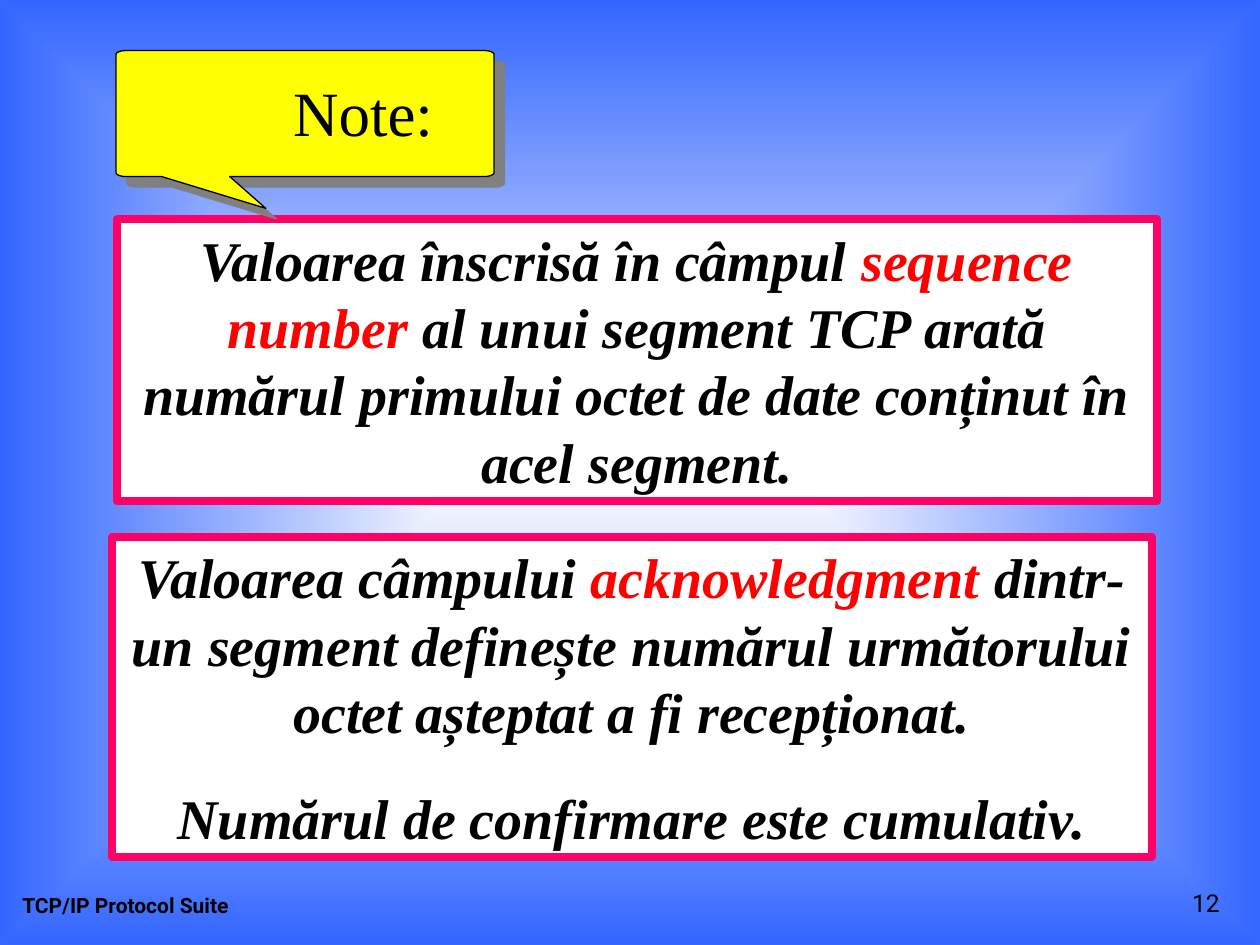
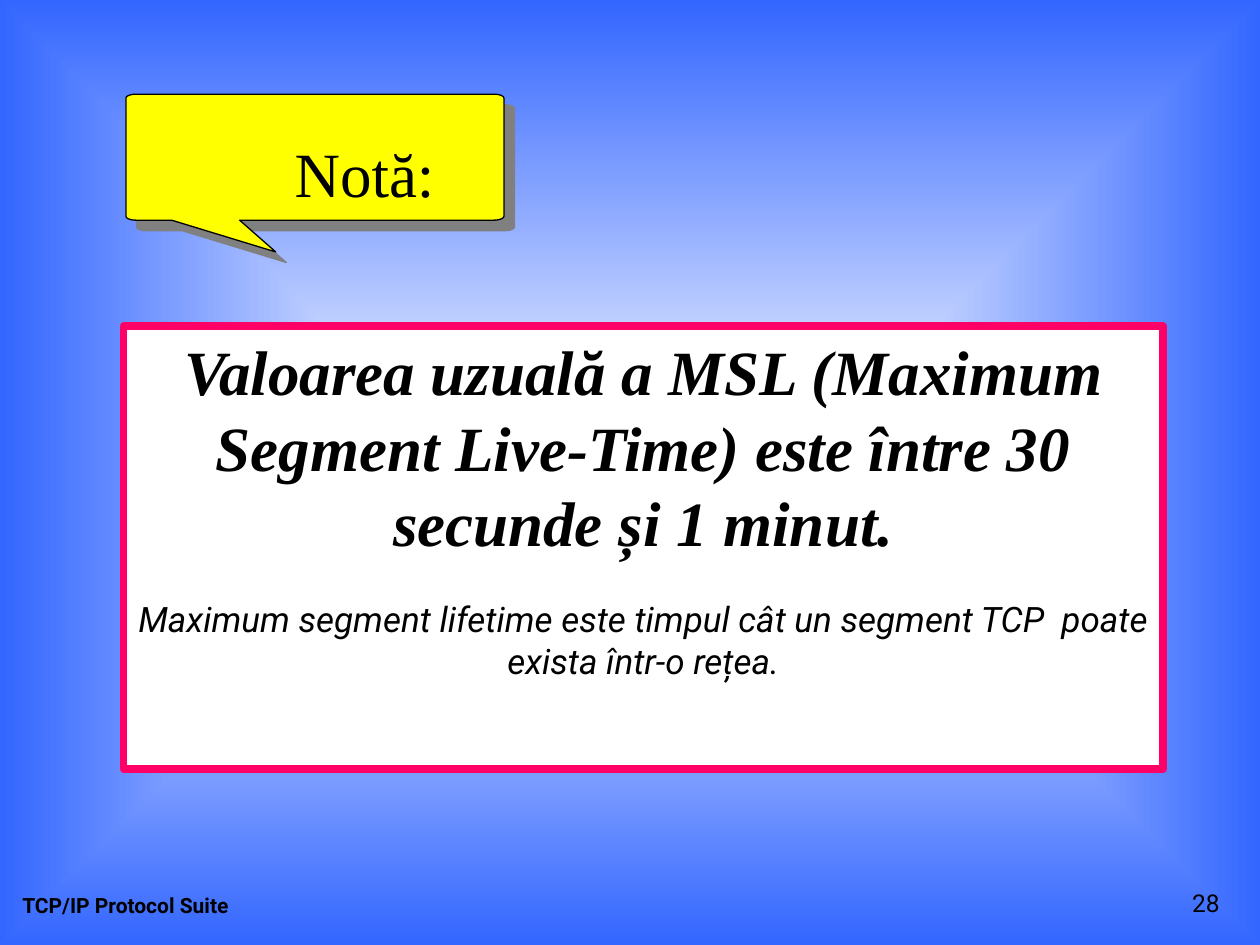
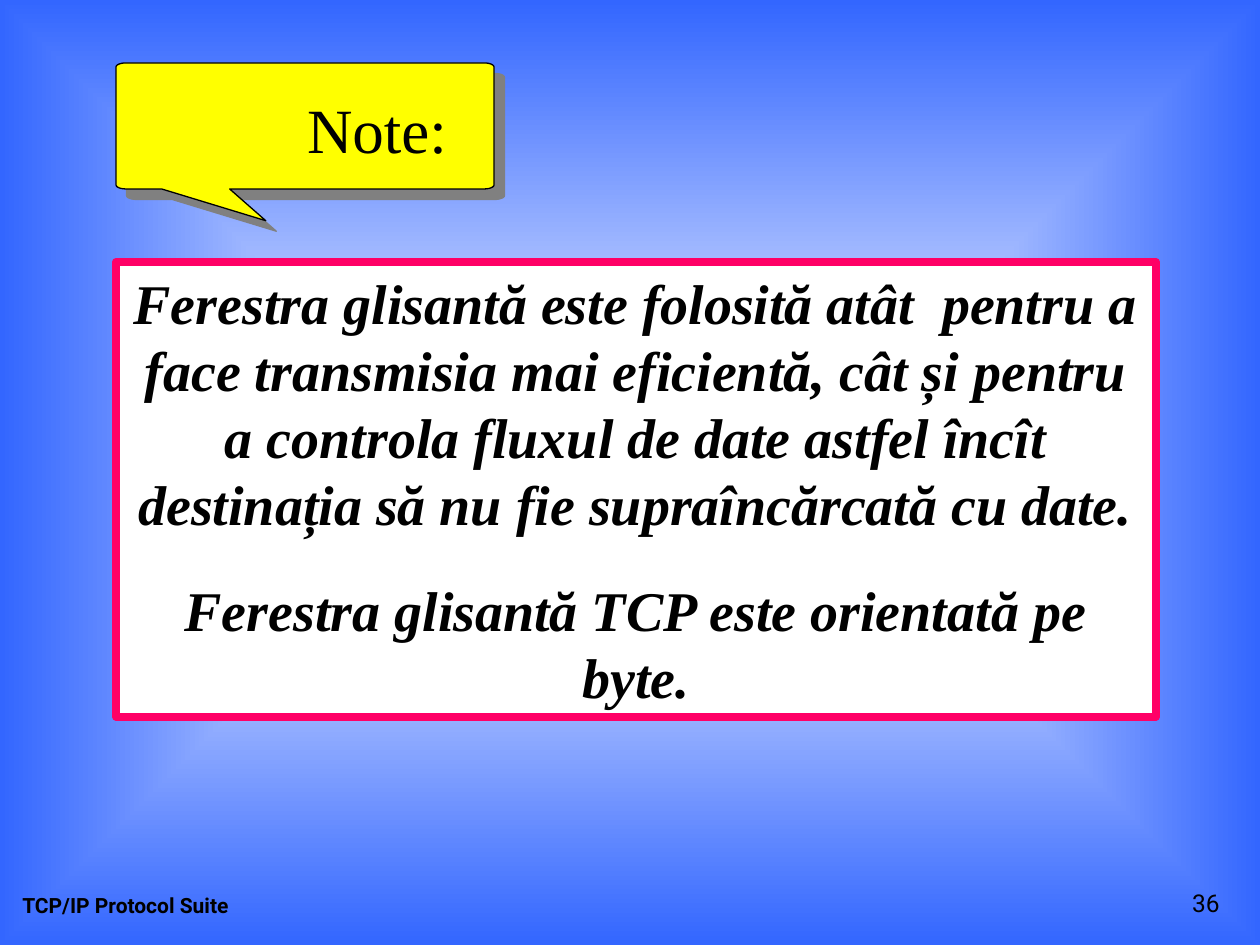
"""Build three TCP note slides with a yellow callout and framed statements."""
import math

import pptx
import pptx.dml.color
import pptx.enum.shapes
import pptx.enum.text
import pptx.oxml
import pptx.oxml.ns
import pptx.util

Cm = pptx.util.Cm
Pt = pptx.util.Pt
RGBColor = pptx.dml.color.RGBColor
ALIGN = pptx.enum.text.PP_ALIGN
ANCHOR = pptx.enum.text.MSO_ANCHOR
qn = pptx.oxml.ns.qn

BLACK = RGBColor(0x00, 0x00, 0x00)
WHITE = RGBColor(0xFF, 0xFF, 0xFF)
BLUE = RGBColor(0x33, 0x66, 0xFF)
RED = RGBColor(0xFF, 0x00, 0x00)
PINK = RGBColor(0xFF, 0x00, 0x66)
YELLOW = RGBColor(0xFF, 0xFF, 0x00)
SERIF = "Times New Roman"
SANS = "Roboto"
A_NS = 'xmlns:a="http://schemas.openxmlformats.org/drawingml/2006/main"'
SHADOW = (f'<a:effectLst {A_NS}><a:outerShdw dist="107950" dir="2700000" algn="ctr" rotWithShape="0">'
          '<a:srgbClr val="808080"/></a:outerShdw></a:effectLst>')
CENTER_PATH = (f'<a:path {A_NS} path="rect">'
               '<a:fillToRect l="50000" t="50000" r="50000" b="50000"/></a:path>')

BOX_W = 20.96
CALLOUT_W, CALLOUT_H = 7.62, 2.54
CORNER_X, CORNER_Y = 0.2, 0.08
POINTER = [(2.29, CALLOUT_H), (3.02, 3.18), (0.92, CALLOUT_H)]

SLIDES = [
    {"number": "12", "label": "Note:", "callout": (2.34, 1.02), "label_at": (5.66, 1.35),
     "boxes": [
         (2.36, 4.42, 5.69, [
             [("Valoarea înscrisă în câmpul ", {}),
              ("sequence number ", {"color": RED}),
              ("al unui segment TCP arată numărul primului octet de date conținut în acel segment.", {})]]),
         (2.26, 10.82, 6.45, [
             [("Valoarea câmpului ", {}),
              ("acknowledgment ", {"color": RED}),
              ("dintr-un segment definește numărul următorului octet așteptat a fi recepționat.", {})],
             [("Numărul de confirmare este cumulativ.", {})]])]},
    {"number": "28", "label": "Notă:", "callout": (2.54, 1.9), "label_at": (5.69, 2.59),
     "boxes": [
         (2.49, 6.58, 8.92, [
             [("Valoarea uzuală a MSL (Maximum Segment Live-Time) este între 30 secunde și 1 minut.",
               {"size": 36})],
             [("Maximum segment lifetime este timpul cât un segment TCP  poate exista într-o rețea.",
               {"size": 20, "font": SANS, "bold": False})]])]},
    {"number": "36", "label": "Note:", "callout": (2.34, 1.27), "label_at": (5.94, 1.7),
     "boxes": [
         (2.34, 5.28, 9.17, [
             [("Ferestra glisantă este folosită atât  pentru a face transmisia mai eficientă, "
               "cât și pentru a controla fluxul de date astfel încît destinația să nu fie "
               "supraîncărcată cu date.", {})],
             [("Ferestra glisantă TCP este orientată pe byte.", {})]])]},
]


def add_text(p, text, size=32, font=SERIF, color=BLACK, bold=False, italic=False):
    r = p.add_run()
    r.text = text
    r.font.size = Pt(size)
    r.font.name = font
    r.font.color.rgb = color
    r.font.bold = bold
    r.font.italic = italic


prs = pptx.Presentation()
prs.slide_width = Cm(25.4)
prs.slide_height = Cm(19.05)

master = prs.slide_master
fill = master.background.fill
fill.gradient()
for stop, color in zip(fill.gradient_stops, (WHITE, BLUE)):
    stop.color.rgb = color
lin = next(master.element.iter(qn("a:lin")))
lin.getparent().replace(lin, pptx.oxml.parse_xml(CENTER_PATH))

for content in SLIDES:
    s = prs.slides.add_slide(prs.slide_layouts[6])

    for left, width, align, text, size, bold in (
            (0.2, 8.05, ALIGN.LEFT, "TCP/IP Protocol Suite", 12, True),
            (19.56, 5.28, ALIGN.RIGHT, content["number"], 14, False)):
        tf = s.shapes.add_textbox(Cm(left), Cm(17.35), Cm(width), Cm(1.27)).text_frame
        tf.word_wrap = True
        tf.vertical_anchor = ANCHOR.BOTTOM
        p = tf.paragraphs[0]
        p.alignment = align
        add_text(p, text, size=size, font=SANS, bold=bold)

    for left, top, height, paragraphs in content["boxes"]:
        sp = s.shapes.add_shape(pptx.enum.shapes.MSO_SHAPE.RECTANGLE,
                                Cm(left), Cm(top), Cm(BOX_W), Cm(height))
        sp.shadow.inherit = False
        sp.fill.solid()
        sp.fill.fore_color.rgb = WHITE
        sp.line.color.rgb = PINK
        sp.line.width = Pt(4.5)
        tf = sp.text_frame
        tf.word_wrap = True
        tf.vertical_anchor = ANCHOR.TOP
        for i, runs in enumerate(paragraphs):
            p = tf.add_paragraph() if i else tf.paragraphs[0]
            p.alignment = ALIGN.CENTER
            p.space_before = Pt(12 if i else 0)
            p.space_after = Pt(10)
            for text, style in runs:
                add_text(p, text, **{"bold": True, "italic": True, **style})

    x, y = content["callout"]
    outline = []
    for corner, (cx, cy) in enumerate((
            (CORNER_X, CORNER_Y), (CALLOUT_W - CORNER_X, CORNER_Y),
            (CALLOUT_W - CORNER_X, CALLOUT_H - CORNER_Y), (CORNER_X, CALLOUT_H - CORNER_Y))):
        if corner == 3:
            outline += POINTER
        for step in range(7):
            angle = math.radians(180 + 90 * corner + 15 * step)
            outline.append((cx + CORNER_X * math.cos(angle), cy + CORNER_Y * math.sin(angle)))
    points = [(Cm(x + dx), Cm(y + dy)) for dx, dy in outline]
    builder = s.shapes.build_freeform(*points[0])
    builder.add_line_segments(points[1:], close=True)
    sp = builder.convert_to_shape()
    sp.fill.solid()
    sp.fill.fore_color.rgb = YELLOW
    sp.line.color.rgb = BLACK
    sp.line.width = Pt(0.75)
    sp.element.spPr.append(pptx.oxml.parse_xml(SHADOW))

    left, top = content["label_at"]
    tf = s.shapes.add_textbox(Cm(left), Cm(top), Cm(3.33), Cm(1.78)).text_frame
    tf.word_wrap = False
    add_text(tf.paragraphs[0], content["label"], size=36)

prs.save("out.pptx")
